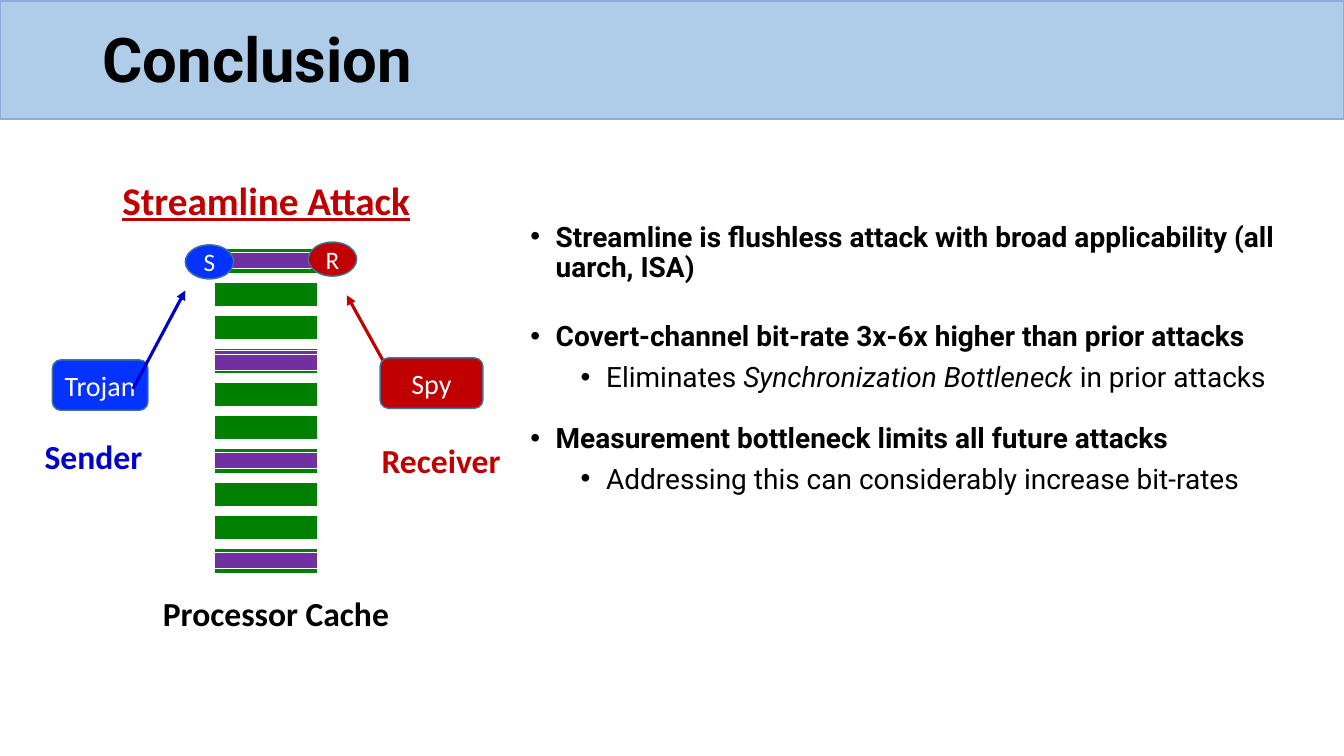
from collections import namedtuple

from lxml import etree
from pptx import Presentation
from pptx.dml.color import RGBColor
from pptx.enum.shapes import MSO_CONNECTOR, MSO_SHAPE
from pptx.enum.text import MSO_ANCHOR, MSO_AUTO_SIZE, PP_ALIGN
from pptx.oxml.ns import qn
from pptx.util import Cm, Pt

RECTANGLE = MSO_SHAPE.RECTANGLE
ROUNDED = MSO_SHAPE.FLOWCHART_ALTERNATE_PROCESS
OVAL = MSO_SHAPE.OVAL
STRAIGHT = MSO_CONNECTOR.STRAIGHT
MIDDLE, TOP = MSO_ANCHOR.MIDDLE, MSO_ANCHOR.TOP
LEFT, CENTER = PP_ALIGN.LEFT, PP_ALIGN.CENTER
NO_AUTOFIT = MSO_AUTO_SIZE.NONE

BLACK, WHITE, RED = "000000", "FFFFFF", "C00000"
BLUE, NAVY, OUTLINE = "0432FF", "0000CD", "43739E"
GREEN, PURPLE = "008000", "7030A0"

Box = namedtuple("Box", "left top width height")

POINTS = [
    (0, 0, [("Streamline is flushless attack with broad applicability (all uarch, ISA)", False)]),
    (0, 28, [("Covert-channel bit-rate 3x-6x higher than prior attacks", False)]),
    (1, 5, [("Eliminates ", False), ("Synchronization Bottleneck", True), (" in prior attacks", False)]),
    (0, 22, [("Measurement bottleneck limits all future attacks", False)]),
    (1, 5, [("Addressing this can considerably increase bit-rates", False)]),
]


def color(value):
    """Return the colour for a hex string."""
    return RGBColor.from_string(value)


def inside(box, left, top, width, height):
    """Return a box whose offsets are counted from the corner of another."""
    return Box(box.left + left, box.top + top, width, height)


def lengths(box):
    """Return the four measures of a box as lengths."""
    return [Cm(value) for value in box]


def set_font(para, name, size, ink, bold=False, underline=False):
    """Set the font that all runs of a paragraph share."""
    font = para.font
    font.name, font.size, font.bold = name, Pt(size), bold
    font.color.rgb = color(ink)
    if underline:
        font.underline = True


def add_block(shapes, kind, box, fill, line, line_width=1, text="", size=20):
    """Draw a filled shape with an optional centred white caption."""
    shape = shapes.add_shape(kind, *lengths(box))
    shape.shadow.inherit = False
    shape.fill.solid()
    shape.fill.fore_color.rgb = color(fill)
    shape.line.color.rgb = color(line)
    shape.line.width = Pt(line_width)
    if text:
        frame = shape.text_frame
        frame.margin_left = frame.margin_right = 0
        frame.vertical_anchor = MIDDLE
        para = frame.paragraphs[0]
        para.text, para.alignment = text, CENTER
        set_font(para, "Calibri", size, WHITE)
    return shape


def add_label(shapes, box, text, size, ink, anchor=TOP, underline=False):
    """Write a centred bold label."""
    frame = shapes.add_textbox(*lengths(box)).text_frame
    frame.word_wrap, frame.vertical_anchor = True, anchor
    para = frame.paragraphs[0]
    para.text, para.alignment = text, CENTER
    set_font(para, "Calibri", size, ink, True, underline)


def add_arrow(shapes, box, start, end, ink):
    """Draw an arrow between two points given relative to a box."""
    ends = [Cm(value) for point in (start, end)
            for value in (box.left + point[0], box.top + point[1])]
    arrow = shapes.add_connector(STRAIGHT, *ends)
    arrow.line.color.rgb = color(ink)
    arrow.line.width = Pt(2.25)
    etree.SubElement(arrow.line._get_or_add_ln(), qn("a:tailEnd"), type="triangle")
    etree.SubElement(arrow._element.spPr, qn("a:effectLst"))


def place_title(slide, box):
    """Put the title on a banner that lies behind everything else."""
    banner = add_block(slide.shapes, RECTANGLE, box, "AFCCE9", "8FAADC")
    slide.shapes._spTree.insert(2, banner._element)
    title = slide.shapes.title
    title.left, title.top, title.width, title.height = lengths(inside(box, 2.33, 0.56, 29.21, 1.98))
    frame = title.text_frame
    frame.auto_size, frame.vertical_anchor = NO_AUTOFIT, MIDDLE
    para = frame.paragraphs[0]
    para.text, para.alignment, para.line_spacing = "Conclusion", LEFT, 0.9
    set_font(para, "Roboto", 44, BLACK, True)


def place_points(slide, box):
    """Fill the body placeholder with the two-level list."""
    body = slide.placeholders[1]
    body.left, body.top, body.width, body.height = lengths(box)
    frame = body.text_frame
    frame.auto_size, frame.vertical_anchor = NO_AUTOFIT, TOP
    for index, (level, space, spans) in enumerate(POINTS):
        para = frame.add_paragraph() if index else frame.paragraphs[0]
        para.level, para.alignment = level, LEFT
        para.space_before = Pt(space)
        para.line_spacing = 1.0 if level else 0.9
        properties = para._p.get_or_add_pPr()
        properties.set("marL", str(Cm(1.91 if level else 0.64)))
        properties.set("indent", str(-Cm(0.64)))
        etree.SubElement(properties, qn("a:buFont"), typeface="Arial")
        etree.SubElement(properties, qn("a:buChar"), char="•")
        set_font(para, "Roboto", 20, BLACK, level == 0)
        for text, italic in spans:
            span = para.add_run()
            span.text = text
            if italic:
                span.font.italic = True


def place_cache(shapes, box):
    """Stack the cache lines, with a striped one in every third row."""
    pitch = 0.84
    cache = shapes.add_group_shape().shapes
    for row in range(10):
        add_block(cache, RECTANGLE, inside(box, 0, row * pitch, box.width, 0.61), GREEN, WHITE, 0.5)
    for row, offset in ((0, 0.08), (3, 0.05), (3, 0.13), (6, 0.08), (9, 0.08)):
        stripe = inside(box, 0, row * pitch + offset, box.width, 0.41)
        add_block(cache, RECTANGLE, stripe, PURPLE, WHITE, 0.5)


def place_attack(slide, box):
    """Draw the sender and the receiver on both sides of the cache."""
    shapes = slide.shapes
    add_block(shapes, ROUNDED, inside(box, 1.32, 5.16, 2.41, 1.27), BLUE, OUTLINE, text="Trojan")
    add_arrow(shapes, box, (10.01, 5.82), (8.74, 3.53), RED)
    add_arrow(shapes, box, (3.35, 5.89), (4.67, 3.41), NAVY)
    add_label(shapes, inside(box, -1.24, 6.96, 7.19, 1.27), "Sender", 24, NAVY)
    add_block(shapes, ROUNDED, inside(box, 9.58, 5.11, 2.59, 1.27), RED, OUTLINE, text="Spy")
    add_label(shapes, inside(box, 7.52, 7.04, 7.19, 1.27), "Receiver", 24, RED)
    add_label(shapes, inside(box, 2.79, 10.42, 8.33, 2.26), "Processor Cache", 24, BLACK, MIDDLE)
    place_cache(shapes, inside(box, 5.41, 2.36, 2.59, 8.17))
    add_block(shapes, OVAL, inside(box, 7.77, 2.19, 1.22, 0.86), RED, OUTLINE, text="R", size=18)
    add_block(shapes, OVAL, inside(box, 4.67, 2.26, 1.22, 0.86), BLUE, OUTLINE, text="S", size=18)
    add_label(shapes, inside(box, 2.54, 0, 8.33, 2.26), "Streamline Attack", 28, RED, MIDDLE, True)


def main():
    """Build the deck and save it."""
    deck = Presentation()
    deck.slide_width, deck.slide_height = Cm(33.87), Cm(19.05)
    slide = deck.slides.add_slide(deck.slide_layouts[1])
    place_title(slide, Box(0, 0.03, 33.87, 2.97))
    place_points(slide, Box(13.11, 5.49, 19.91, 13))
    place_attack(slide, Box(0, 3.91, 14.71, 12.68))
    deck.save("out.pptx")


if __name__ == "__main__":
    main()
